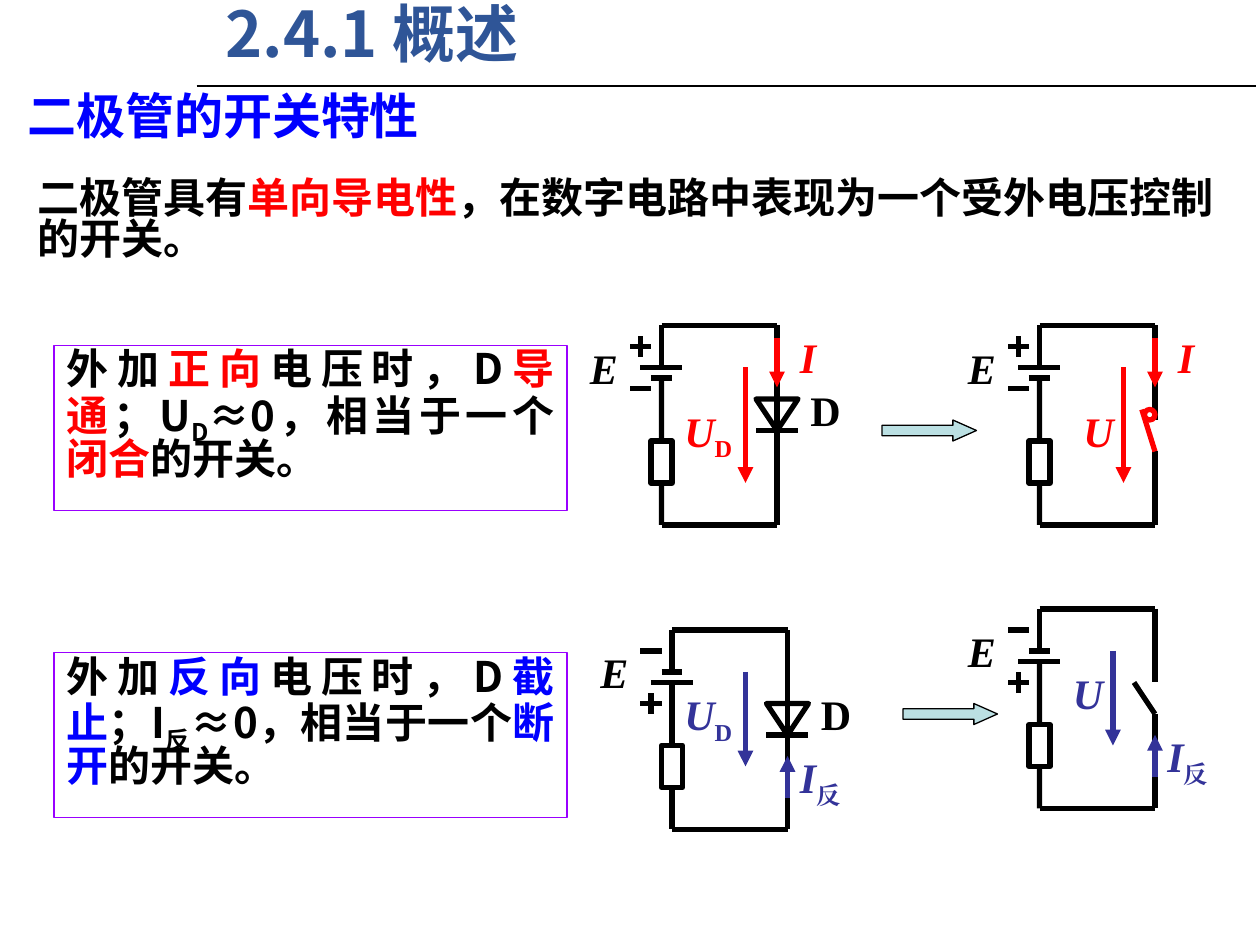
import dataclasses
import pptx
import pptx.dml.color
import pptx.enum.shapes
import pptx.enum.text
import pptx.oxml
import pptx.oxml.ns
import pptx.util

SHAPE = pptx.enum.shapes.MSO_SHAPE
ALIGN = pptx.enum.text.PP_ALIGN
UNIT = 1 / 12  # grid step in inches; every circuit sits on this grid


@dataclasses.dataclass(frozen=True)
class Theme:
    sans: str = "Noto Sans CJK SC"
    serif: str = "Times New Roman"
    title_size: int = 36
    heading_size: int = 28
    body_size: int = 24
    line_spacing: float = 0.82
    case_spacing: float = 0.83
    wire_width: float = 3
    rule_width: float = 1.25
    thin_width: float = 0.75
    black: str = "000000"
    title: str = "2F5597"
    blue: str = "0000FF"
    red: str = "FF0000"
    indigo: str = "333399"
    frame: str = "9900FF"
    pale: str = "BBE0E3"


THEME = Theme()


def inches(*lengths):
    return [pptx.util.Inches(length) for length in lengths]


def color(value):
    return pptx.dml.color.RGBColor.from_string(value)


def set_attributes(target, values):
    for name, value in values.items():
        setattr(target, name, value)


def set_line(shape, line_color, width):
    shape.line.color.rgb = color(line_color)
    shape.line.width = pptx.util.Pt(width)


def write(shape, runs, size=THEME.body_size, font=THEME.sans,
          spacing=THEME.line_spacing, align=ALIGN.LEFT):
    """Fill a shape with one paragraph; runs are (text, color, format values)."""
    set_attributes(shape.text_frame, {
        "word_wrap": True,
        "auto_size": pptx.enum.text.MSO_AUTO_SIZE.NONE,
        "vertical_anchor": pptx.enum.text.MSO_ANCHOR.TOP,
    })
    paragraph = shape.text_frame.paragraphs[0]
    set_attributes(paragraph, {"alignment": align, "line_spacing": spacing})
    # Keep closing punctuation inside the margin
    paragraph._p.get_or_add_pPr().set("hangingPunct", "0")
    for text, run_color, *extra in runs:
        values = {"name": font, "size": pptx.util.Pt(size), "bold": True, "italic": False}
        values.update(extra[0] if extra else {})
        subscript = values.pop("subscript", False)
        run = paragraph.add_run()
        run.text = text
        set_attributes(run.font, values)
        run.font.color.rgb = color(run_color)
        properties = run._r.get_or_add_rPr()
        if subscript:
            properties.set("baseline", "-25000")
        east_asian = pptx.oxml.parse_xml(f'<a:ea {pptx.oxml.ns.nsdecls("a")} typeface="{font}"/>')
        properties.find(pptx.oxml.ns.qn("a:latin")).addnext(east_asian)


def add_text(shapes, box, runs, **options):
    write(shapes.add_textbox(*inches(*box)), runs, **options)


def add_outline(shapes, kind, box, line_color=THEME.black, width=THEME.wire_width, fill=None):
    shape = shapes.add_shape(kind, *inches(*box))
    shape.shadow.inherit = False
    if fill:
        shape.fill.solid()
        shape.fill.fore_color.rgb = color(fill)
    else:
        shape.fill.background()
    set_line(shape, line_color, width)
    return shape


def add_line(shapes, start, end, line_color=THEME.black, width=THEME.wire_width, arrow=False):
    connector = shapes.add_connector(
        pptx.enum.shapes.MSO_CONNECTOR.STRAIGHT, *inches(*start, *end))
    set_line(connector, line_color, width)
    namespace = pptx.oxml.ns.nsdecls("a")
    if arrow:
        connector.line._get_or_add_ln().append(
            pptx.oxml.parse_xml(f'<a:tailEnd {namespace} type="triangle"/>'))
    connector._element.spPr.append(pptx.oxml.parse_xml(f"<a:effectLst {namespace}/>"))
    return connector


def add_circuit(slide, column, row, forward, diode):
    """Draw a loop whose top left corner is at the given grid column and row."""
    shapes = slide.shapes.add_group_shape().shapes
    accent = THEME.red if forward else THEME.indigo

    def at(x, y):
        return (column + x) * UNIT, (row + y) * UNIT

    def box(x, y, width, height):
        return *at(x, y), width * UNIT, height * UNIT

    def line(x1, y1, x2, y2, **options):
        return add_line(shapes, at(x1, y1), at(x2, y2), **options)

    def label(x, y, width, text, text_color, subscript="", italic=True):
        runs = [(text, text_color, {"italic": italic})]
        if subscript:
            runs.append((subscript, text_color, {"subscript": True}))
        add_text(shapes, box(x, y, width, 6), runs, font=THEME.serif, spacing=None)

    # Left branch: battery and resistor
    resistor = add_outline(shapes, SHAPE.RECTANGLE, box(-1, 11, 2, 4))
    for y, half in zip((4, 5), (2, 1) if forward else (1, 2)):
        line(-half, y, half, y)
    line(0, 0, 0, 4)
    line(0, 5, 0, 11).end_connect(resistor, 0)
    line(0, 15, 0, 19).begin_connect(resistor, 2)
    for y in (0, 19):
        line(0, y, 11, y)
    plus, minus = (2, 6) if forward else (7, 2)
    for y in (plus, minus):
        line(-3, y, -1, y)
    line(-2, plus + 1, -2, plus - 1)
    label(-8, 1, 6, "E", THEME.black)

    # Right branch: diode or switch
    if diode:
        line(11, 0, 11, 19)
        add_outline(shapes, SHAPE.ISOSCELES_TRIANGLE, box(9, 7, 4, 3)).rotation = 180
        line(9, 10, 13, 10)
        label(13, 5, 9, "D", THEME.black, italic=False)
    else:
        upper, lower = (9, 12) if forward else (7, 10)
        line(11, 0, 11, upper)
        line(11, lower, 11, 19)
        if forward:
            line(9.75, 8, 11, lower, line_color=accent)
            add_outline(shapes, SHAPE.OVAL, box(10, 8, 1, 1), accent)
        else:
            line(9, upper, 11, lower)

    # Current and voltage
    if forward:
        line(11, 1.2, 11, 5.9, line_color=accent, arrow=True)
        line(8, 4, 8, 15, line_color=accent, arrow=True)
        label(12, 0, 5, "I", accent)
    else:
        line(11, 16, 11, 12, line_color=accent, arrow=True)
        line(7, 4, 7, 13, line_color=accent, arrow=True)
        label(11, 11, 10, "I", accent, "反")
    label((1 if forward else 0) + (0 if diode else 2), 7 if forward else 5, 9,
          "U", accent, "D" if diode else "")


def add_case(slide, top, accent, bias, state, symbol, subscript, switch):
    """Framed explanation of one bias direction."""
    frame = add_outline(slide.shapes, SHAPE.RECTANGLE, (0.43, top, 4.07, 1.31),
                        THEME.frame, THEME.thin_width)
    black = THEME.black
    write(frame, [
        ("外加", black), (bias, accent), ("电压时，D", black), (state, accent),
        ("；" + symbol, black), (subscript, black, {"subscript": True}),
        ("≈0，相当于一个", black), (switch, accent), ("的开关。", black),
    ], spacing=THEME.case_spacing, align=ALIGN.JUSTIFY)


def main():
    presentation = pptx.Presentation()
    presentation.slide_width, presentation.slide_height = inches(10, 7.5)
    slide = presentation.slides.add_slide(presentation.slide_layouts[5])

    # Title, rule and introduction
    title = slide.shapes.title
    set_attributes(title, dict(zip(("left", "top", "width", "height"),
                                   inches(1.69, 0.01, 8.28, 0.71))))
    write(title, [("2.4.1 概述", THEME.title)], size=THEME.title_size)
    add_line(slide.shapes, (1.56, 0.68), (9.97, 0.68), width=THEME.rule_width)
    add_text(slide.shapes, (0.12, 0.71, 4.83, 0.57), [("二极管的开关特性", THEME.blue)],
             size=THEME.heading_size)
    add_text(slide.shapes, (0.2, 1.38, 9.6, 0.91), [
        ("二极管具有", THEME.black), ("单向导电性", THEME.red),
        ("，在数字电路中表现为一个受外电压控制的开关。", THEME.black),
    ])

    # The two bias cases
    add_case(slide, 2.74, THEME.red, "正向", "导通", "U", "D", "闭合")
    add_case(slide, 5.18, THEME.blue, "反向", "截止", "I", "反", "断开")

    # Diode circuits and their switch equivalents
    for column, row, forward, diode in ((63, 31, True, True), (99, 31, True, False),
                                        (64, 60, False, True), (99, 58, False, False)):
        add_circuit(slide, column, row, forward, diode)
    for column, row in ((84, 40), (86, 67)):
        arrow = add_outline(slide.shapes, SHAPE.RIGHT_ARROW,
                            (column * UNIT, row * UNIT, 9 * UNIT, 2 * UNIT),
                            width=THEME.thin_width, fill=THEME.pale)
        arrow.adjustments[1] = 1.125

    presentation.save("out.pptx")


if __name__ == "__main__":
    main()
